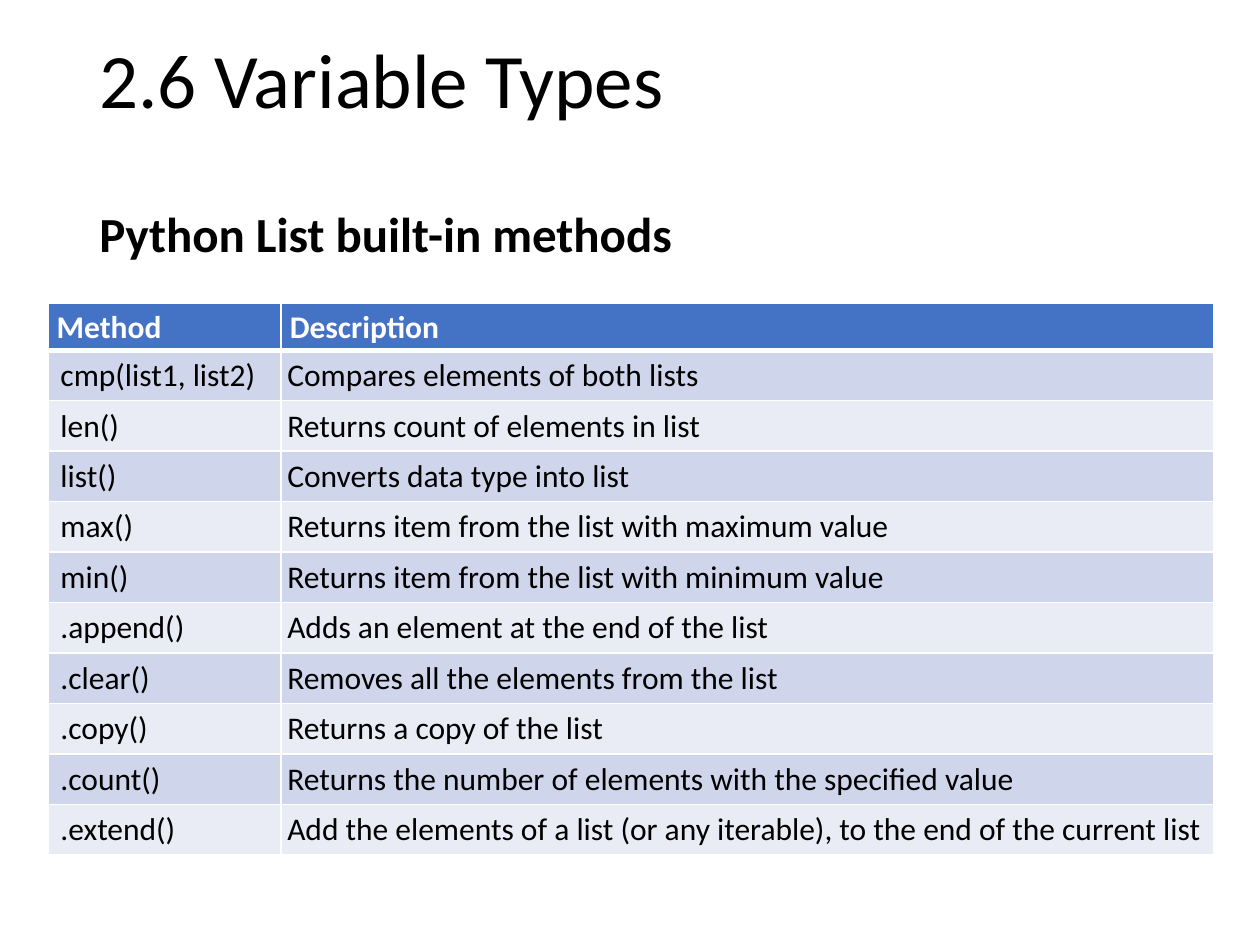
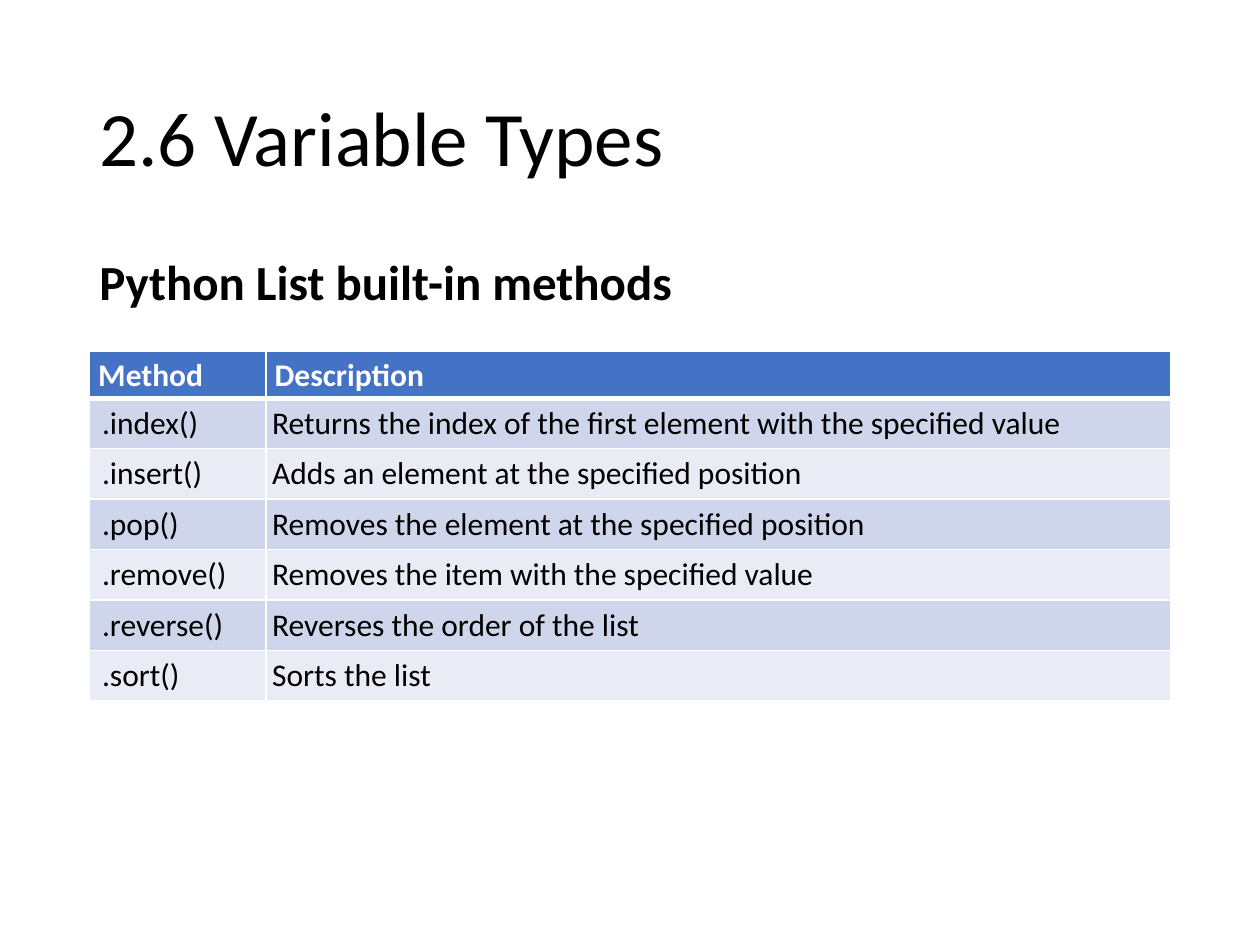
from dataclasses import dataclass

from lxml import etree
from pptx import Presentation
from pptx.dml.color import RGBColor
from pptx.enum.text import MSO_ANCHOR, MSO_AUTO_SIZE, PP_ALIGN
from pptx.oxml.ns import qn
from pptx.util import Inches, Pt

# Shared look
BLACK = RGBColor(0x00, 0x00, 0x00)
WHITE = RGBColor(0xFF, 0xFF, 0xFF)
HEADER_BLUE = RGBColor(0x44, 0x72, 0xC4)
BANDS = (RGBColor(0xCF, 0xD5, 0xEA), RGBColor(0xE9, 0xEB, 0xF5))

TITLE_FONT = {"name": "Calibri", "size": Pt(44), "bold": False}
SUBTITLE_FONT = {"name": "Calibri", "size": Pt(28), "bold": True}
HEADER_FONT = {"name": "Calibri", "size": Pt(18), "bold": True}
BODY_FONT = {"name": "Calibri", "size": Pt(18), "bold": False}

TEXT_LEFT, TEXT_WIDTH, SUBTITLE_HEIGHT = 0.69, 8.62, 0.79
HEADER_HEIGHT, ROW_HEIGHT = 0.37, 0.4
THIN_RULE, HEADER_RULE = Pt(1), Pt(3)

TITLE = "2.6 Variable Types"
SUBTITLE = "Python List built-in methods"
HEADINGS = ("Method", "Description")


@dataclass(frozen=True)
class MethodSlide:
    title_top: float
    title_height: float
    subtitle_top: float
    table_left: float
    table_top: float
    column_widths: tuple[float, float]
    methods: tuple[tuple[str, str], ...]


METHOD_SLIDES = (
    MethodSlide(0.14, 1.04, 1.62, 0.38, 2.41, (1.85, 7.4), (
        ("cmp(list1, list2)", "Compares elements of both lists"),
        ("len()", "Returns count of elements in list"),
        ("list()", "Converts data type into list"),
        ("max()", "Returns item from the list with maximum value"),
        ("min()", "Returns item from the list with minimum value"),
        (".append()", "Adds an element at the end of the list"),
        (".clear()", "Removes all the elements from the list"),
        (".copy()", "Returns a copy of the list"),
        (".count()", "Returns the number of elements with the specified value"),
        (".extend()", "Add the elements of a list (or any iterable), "
                      "to the end of the current list"),
    )),
    MethodSlide(0.4, 1.45, 2, 0.71, 2.79, (1.4, 7.18), (
        (".index()", "Returns the index of the first element with the specified value"),
        (".insert()", "Adds an element at the specified position"),
        (".pop()", "Removes the element at the specified position"),
        (".remove()", "Removes the item with the specified value"),
        (".reverse()", "Reverses the order of the list"),
        (".sort()", "Sorts the list"),
    )),
)


def write(frame, text: str, font_values: dict, color: RGBColor,
          line_spacing: float = 1.0) -> None:
    """Put one left-aligned paragraph into a text frame."""
    frame.word_wrap = True
    paragraph = frame.paragraphs[0]
    paragraph.alignment = PP_ALIGN.LEFT
    paragraph.line_spacing = line_spacing
    run = paragraph.add_run()
    run.text = text
    for attribute, value in font_values.items():
        setattr(run.font, attribute, value)
    run.font.color.rgb = color


def add_headings(slide, layout: MethodSlide) -> None:
    # Title
    title = slide.shapes.title
    title.left, title.top = Inches(TEXT_LEFT), Inches(layout.title_top)
    title.width, title.height = Inches(TEXT_WIDTH), Inches(layout.title_height)
    title.text_frame.auto_size = MSO_AUTO_SIZE.NONE
    title.text_frame.vertical_anchor = MSO_ANCHOR.MIDDLE
    write(title.text_frame, TITLE, TITLE_FONT, BLACK, 0.9)

    # Subtitle
    subtitle = slide.shapes.add_textbox(
        Inches(TEXT_LEFT), Inches(layout.subtitle_top),
        Inches(TEXT_WIDTH), Inches(SUBTITLE_HEIGHT))
    write(subtitle.text_frame, SUBTITLE, SUBTITLE_FONT, BLACK, 0.9)


def add_borders(cell, top: int, bottom: int) -> None:
    properties = cell._tc.get_or_add_tcPr()
    widths = {"lnL": THIN_RULE, "lnR": THIN_RULE, "lnT": top, "lnB": bottom}
    for side, width in widths.items():
        line = etree.SubElement(properties, qn(f"a:{side}"), w=str(int(width)))
        fill = etree.SubElement(line, qn("a:solidFill"))
        etree.SubElement(fill, qn("a:srgbClr"), val=str(WHITE))


def format_cell(cell, text: str, row: int, column: int) -> None:
    is_header = row == 0
    if is_header:
        margins = (0.07, 0.04, 0.07, 0.03)
    else:
        margins = (0.05 if column else 0.1, 0.05, 0.05, 0.05)
    for side, margin in zip(("left", "top", "right", "bottom"), margins):
        setattr(cell, f"margin_{side}", Inches(margin))
    add_borders(cell, HEADER_RULE if row == 1 else THIN_RULE,
                HEADER_RULE if is_header else THIN_RULE)
    cell.fill.solid()
    cell.fill.fore_color.rgb = HEADER_BLUE if is_header else BANDS[(row - 1) % 2]
    write(cell.text_frame, text, HEADER_FONT if is_header else BODY_FONT,
          WHITE if is_header else BLACK)


def add_method_table(slide, layout: MethodSlide) -> None:
    rows = (HEADINGS, *layout.methods)
    height = HEADER_HEIGHT + ROW_HEIGHT * len(layout.methods)
    table = slide.shapes.add_table(
        len(rows), len(HEADINGS), Inches(layout.table_left),
        Inches(layout.table_top), Inches(sum(layout.column_widths)),
        Inches(height)).table
    for column, width in zip(table.columns, layout.column_widths):
        column.width = Inches(width)
    for row, texts in enumerate(rows):
        table.rows[row].height = Inches(ROW_HEIGHT if row else HEADER_HEIGHT)
        for column, text in enumerate(texts):
            format_cell(table.cell(row, column), text, row, column)


def main() -> None:
    presentation = Presentation()
    presentation.slide_width = Inches(10)
    presentation.slide_height = Inches(7.5)
    title_only = presentation.slide_layouts[5]
    for layout in METHOD_SLIDES:
        slide = presentation.slides.add_slide(title_only)
        add_headings(slide, layout)
        add_method_table(slide, layout)
    presentation.save("out.pptx")


if __name__ == "__main__":
    main()
